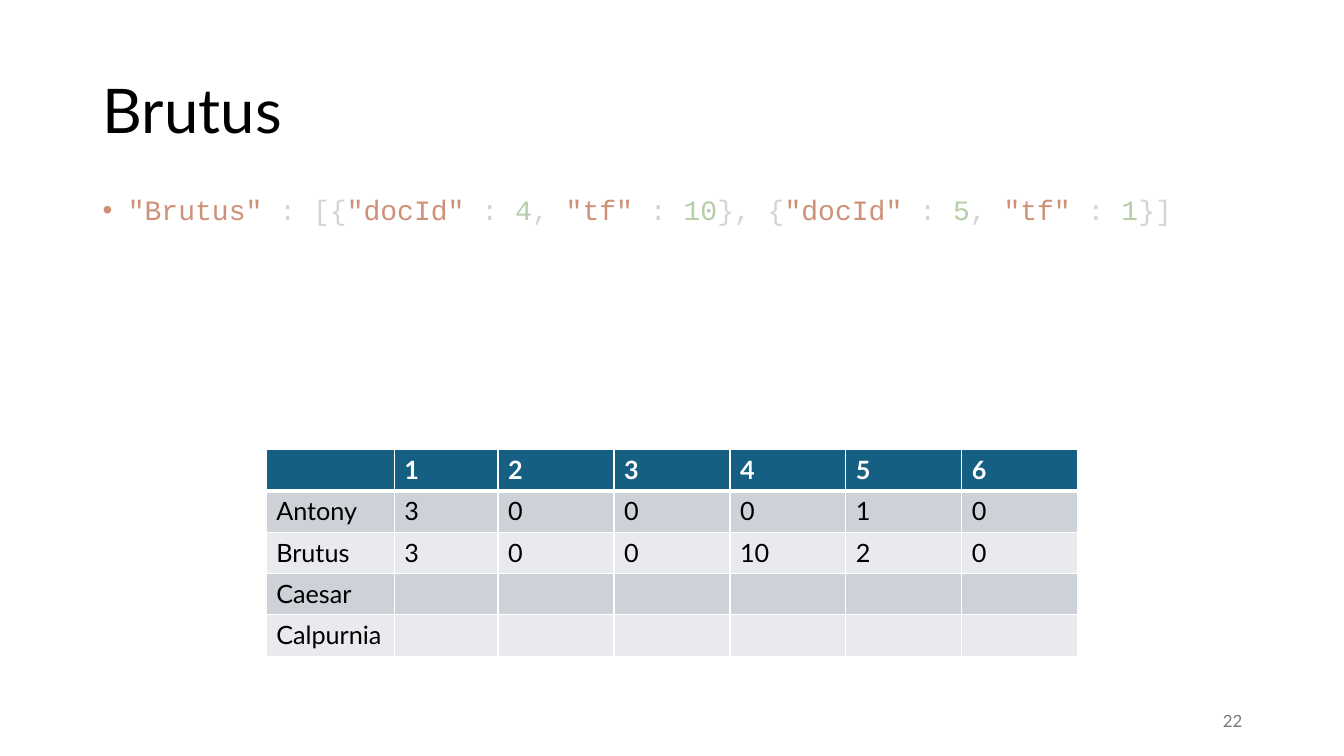
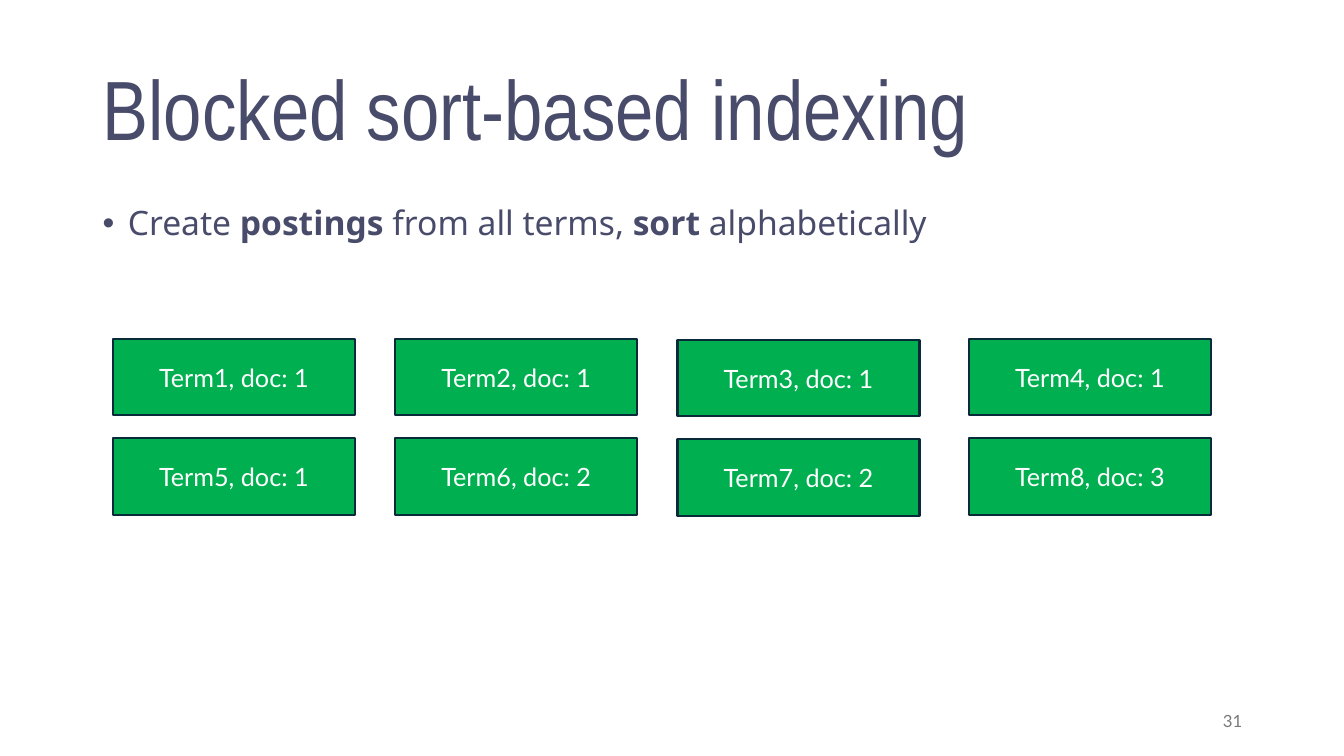
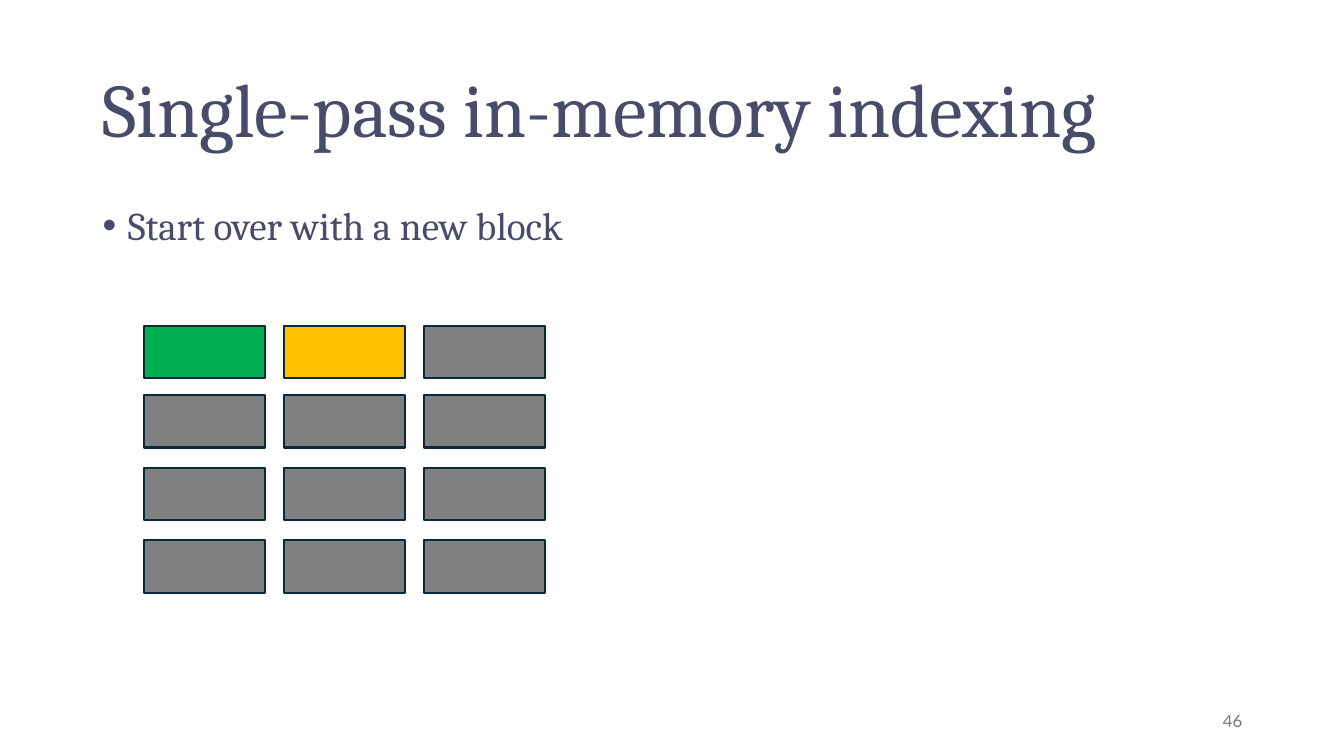
from dataclasses import dataclass

from lxml.etree import SubElement
from pptx import Presentation
from pptx.dml.color import RGBColor as RGB
from pptx.enum.shapes import MSO_SHAPE
from pptx.enum.text import MSO_ANCHOR as ANCHOR, PP_ALIGN as ALIGN
from pptx.oxml.ns import qn
from pptx.util import Inches, Pt


@dataclass(frozen=True)
class Theme:
    # Colours
    black: str = "000000"
    white: str = "FFFFFF"
    slate: str = "484B6A"
    footer: str = "797979"
    outline: str = "092A39"
    green: str = "00B050"
    amber: str = "FFC000"
    grey: str = "808080"
    header: str = "156082"
    bands: tuple = ("CCD2D8", "E8EAED")
    code_string: str = "CE9178"
    code_number: str = "B5CEA8"
    code_mark: str = "D4D4D4"
    # Fonts and sizes
    base: str = "Lato"
    code: str = "Courier New"
    label_size: int = 18
    code_size: int = 20
    footer_size: int = 12


THEME = Theme()
BLOCK_LINE = 1.5


def set_font(font, face, size, color, bold=None):
    font.name, font.size, font.bold = face, Pt(size), bold
    font.color.rgb = RGB.from_string(color)


def add_text_box(slide, left, top, width, height, anchor):
    box = slide.shapes.add_textbox(*map(Inches, (left, top, width, height)))
    box.text_frame.word_wrap = True
    box.text_frame.vertical_anchor = anchor
    return box.text_frame.paragraphs[0]


def add_slide(prs, title, number, face, size, color):
    """Blank slide with the shared title and page number."""
    slide = prs.slides.add_slide(prs.slide_layouts[6])
    heading = add_text_box(slide, 0.92, 0.4, 11.5, 1.45, ANCHOR.MIDDLE)
    heading.text = title
    heading.line_spacing = 0.9
    set_font(heading.font, face, size, color)

    page = add_text_box(slide, 9.42, 6.95, 3, 0.4, ANCHOR.MIDDLE)
    page.text = str(number)
    page.alignment = ALIGN.RIGHT
    set_font(page.font, THEME.base, THEME.footer_size, THEME.footer)
    return slide


def add_bullet(slide, face, size, color, spacing=0.9):
    """Empty bulleted paragraph, ready for its runs."""
    bullet = add_text_box(slide, 0.92, 2, 11.5, 4.76, ANCHOR.TOP)
    props = bullet._p.get_or_add_pPr()
    props.set("marL", str(Inches(0.25)))
    props.set("indent", str(-Inches(0.25)))
    SubElement(props, qn("a:buFont")).set("typeface", "Arial")
    SubElement(props, qn("a:buChar")).set("char", "•")
    bullet.line_spacing = spacing
    bullet.space_before = Pt(10)
    set_font(bullet.font, face, size, color)
    return bullet


def add_run(paragraph, text, color=None, bold=None):
    run = paragraph.add_run()
    run.text = text
    run.font.bold = bold
    if color:
        run.font.color.rgb = RGB.from_string(color)


def add_block(slide, left, top, width, height, fill, label=""):
    block = slide.shapes.add_shape(
        MSO_SHAPE.RECTANGLE, *map(Inches, (left, top, width, height)))
    block.shadow.inherit = False
    block.fill.solid()
    block.fill.fore_color.rgb = RGB.from_string(fill)
    block.line.color.rgb = RGB.from_string(THEME.outline)
    block.line.width = Pt(BLOCK_LINE)
    if label:
        block.text_frame.vertical_anchor = ANCHOR.MIDDLE
        caption = block.text_frame.paragraphs[0]
        caption.text = label
        caption.alignment = ALIGN.CENTER
        set_font(caption.font, THEME.base, THEME.label_size, THEME.white)


def add_border(cell, side, points):
    line = SubElement(cell._tc.get_or_add_tcPr(), qn(f"a:ln{side}"))
    line.set("w", str(Pt(points)))
    fill = SubElement(line, qn("a:solidFill"))
    SubElement(fill, qn("a:srgbClr")).set("val", THEME.white)


def add_term_table(slide, left, top, widths, row_height, rows):
    frame = slide.shapes.add_table(
        len(rows), len(widths), Inches(left), Inches(top),
        Inches(sum(widths)), Inches(row_height * len(rows)))
    table = frame.table
    for column, width in zip(table.columns, widths):
        column.width = Inches(width)
    for r, values in enumerate(rows):
        table.rows[r].height = Inches(row_height)
        is_header = r == 0
        fill = THEME.header if is_header else THEME.bands[(r - 1) % 2]
        ink = THEME.white if is_header else THEME.black
        for c in range(len(widths)):
            cell = table.cell(r, c)
            for side in "LRTB":
                heavy = (side == "B" and r == 0) or (side == "T" and r == 1)
                add_border(cell, side, 3 if heavy else 1)
            cell.fill.solid()
            cell.fill.fore_color.rgb = RGB.from_string(fill)
            entry = cell.text_frame.paragraphs[0]
            if c < len(values):
                entry.text = str(values[c])
            set_font(entry.font, THEME.base, THEME.label_size, ink, is_header)


def build_brutus(prs):
    slide = add_slide(prs, "Brutus", 22, THEME.base, 44, THEME.black)

    # Postings list with syntax colours
    postings = add_bullet(slide, THEME.code, THEME.code_size,
                          THEME.code_mark, Pt(14.2))
    add_run(postings, '"Brutus"', THEME.code_string)
    opening = " : [{"
    for doc_id, frequency in ((4, 10), (5, 1)):
        add_run(postings, opening)
        add_run(postings, '"docId"', THEME.code_string)
        add_run(postings, " : ")
        add_run(postings, str(doc_id), THEME.code_number)
        add_run(postings, ", ")
        add_run(postings, '"tf"', THEME.code_string)
        add_run(postings, " : ")
        add_run(postings, str(frequency), THEME.code_number)
        opening = "}, {"
    add_run(postings, "}]")

    # Term-document counts
    add_term_table(slide, 2.64, 4.46, [1.27, 1.03] + [1.15] * 5, 0.41, [
        ["", 1, 2, 3, 4, 5, 6],
        ["Antony", 3, 0, 0, 0, 1, 0],
        ["Brutus", 3, 0, 0, 10, 2, 0],
        ["Caesar"],
        ["Calpurnia"],
    ])


def build_blocked_sort(prs):
    slide = add_slide(prs, "Blocked sort-based indexing", 31,
                      "Arial Narrow", 60, THEME.slate)
    step = add_bullet(slide, "Noto Sans", 24, THEME.slate)
    for text, bold in (("Create ", False), ("postings", True),
                       (" from all terms, ", False), ("sort ", True),
                       ("alphabetically", False)):
        add_run(step, text, bold=bold)

    # Postings, numbered row by row
    columns = ((1.12, 3.36), (3.92, 3.36), (6.72, 3.37), (9.61, 3.36))
    documents = (1, 1, 1, 1, 1, 2, 2, 3)
    for i, document in enumerate(documents):
        row, column = divmod(i, len(columns))
        left, top = columns[column]
        add_block(slide, left, top + 0.99 * row, 2.4, 0.76, THEME.green,
                  f"Term{i + 1}, doc: {document}")


def build_single_pass(prs):
    slide = add_slide(prs, "Single-pass in-memory indexing", 46,
                      "Cambria", 54, THEME.slate)
    step = add_bullet(slide, "Cambria", 28, THEME.slate)
    add_run(step, "Start over with a new block")

    # Memory blocks: the first two are in use
    used = {(0, 0): THEME.green, (0, 1): THEME.amber}
    for row, top in enumerate((3.23, 3.92, 4.64, 5.36)):
        for column in range(3):
            add_block(slide, 1.43 + 1.39 * column, top, 1.2, 0.52,
                      used.get((row, column), THEME.grey))


def main():
    prs = Presentation()
    prs.slide_width, prs.slide_height = Inches(13.33), Inches(7.5)
    build_brutus(prs)
    build_blocked_sort(prs)
    build_single_pass(prs)
    prs.save("out.pptx")


if __name__ == "__main__":
    main()
